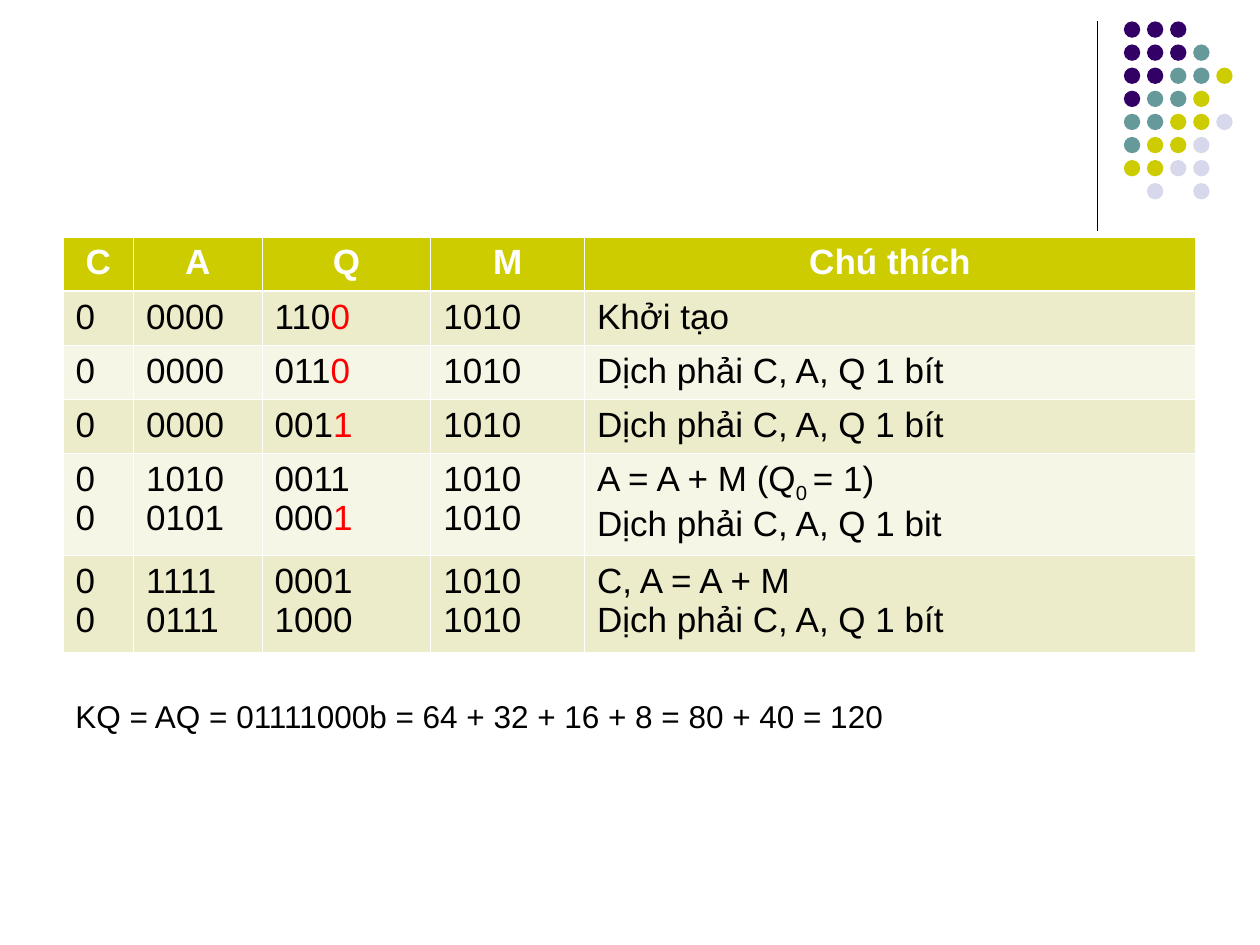
"""Build a slide tracing binary multiplication by shift and add."""
from dataclasses import dataclass

from lxml import etree
from pptx import Presentation, util as u
from pptx.dml.color import RGBColor
from pptx.enum import shapes, text
from pptx.oxml import ns


@dataclass(frozen=True)
class Theme:
    """Colours and type sizes of the slide."""
    font: str = "Arial"
    table_size: int = 20
    result_size: int = 18
    ink: str = "000000"
    paper: str = "FFFFFF"
    mark: str = "FF0000"
    purple: str = "330066"
    teal: str = "669999"
    olive: str = "CCCC00"
    pale: str = "D8D8EC"
    bands: tuple = ("ECECCB", "F6F6E7")
    thin: float = 0.45
    thick: float = 1.47


DOTS = ["PPP", "PPPT", "PPTTO", "PTTO", "TTOOL", "TOOL", "OOLL", " L L"]
COLUMNS = [0.56, 1.02, 1.34, 1.22, 4.85]
ROWS = [0.43, 0.43, 0.43, 0.43, 0.81, 0.77]
SHIFT = "Dịch phải C, A, Q 1 bít"
STEPS = [
    ["C", "A", "Q", "M", "Chú thích"],
    ["0", "0000", "110|!0", "1010", "Khởi tạo"],
    ["0", "0000", "011|!0", "1010", SHIFT],
    ["0", "0000", "001|!1", "1010", SHIFT],
    ["0\n0", "1010\n0101", "0011\n000|!1", "1010\n1010",
     "A = A + M (Q|_0 |= 1)\nDịch phải C, A, Q 1 bit"],
    ["0\n0", "1111\n0111", "0001\n1000", "1010\n1010", "C, A = A + M\n" + SHIFT],
]


class SlideBuilder:
    """Draw styled elements on the current slide."""

    def __init__(self, page, theme):
        """Keep the slide and its theme."""
        self.page = page
        self.theme = theme

    def line(self, x, top, bottom):
        """Draw a thin vertical rule."""
        rule = self.page.shapes.add_connector(
            shapes.MSO_CONNECTOR.STRAIGHT,
            u.Inches(x), u.Inches(top), u.Inches(x), u.Inches(bottom))
        rule.line.color.rgb = RGBColor.from_string(self.theme.ink)
        rule.line.width = u.Pt(0.75)
        etree.SubElement(rule._element.spPr, ns.qn("a:effectLst"))

    def dots(self, left, top, pitch, size, pattern):
        """Draw a grid of dots from rows of colour letters."""
        theme = self.theme
        colours = {"P": theme.purple, "T": theme.teal, "O": theme.olive, "L": theme.pale}
        for row, letters in enumerate(pattern):
            for column, letter in enumerate(letters):
                if letter not in colours:
                    continue
                dot = self.page.shapes.add_shape(
                    shapes.MSO_SHAPE.OVAL,
                    u.Inches(left + column * pitch), u.Inches(top + row * pitch),
                    u.Inches(size), u.Inches(size))
                dot.shadow.inherit = False
                dot.fill.solid()
                dot.fill.fore_color.rgb = RGBColor.from_string(colours[letter])
                dot.line.fill.background()

    def set_text(self, frame, content, size, colour, bold=False, align=None):
        """Set lines whose '|' pieces are marked '!' for red or '_' for subscript."""
        for index, line in enumerate(content.split("\n")):
            para = frame.add_paragraph() if index else frame.paragraphs[0]
            para.alignment = align
            para.font.name = self.theme.font
            para.font.size = u.Pt(size)
            para.font.bold = bold
            para.font.color.rgb = RGBColor.from_string(colour)
            for piece in line.split("|"):
                span = para.add_run()
                span.text = piece.lstrip("!_")
                if piece.startswith("!"):
                    span.font.color.rgb = RGBColor.from_string(self.theme.mark)
                elif piece.startswith("_"):
                    span._r.get_or_add_rPr().set("baseline", "-25000")

    def border(self, cell, side, width):
        """Add one solid border to a cell that has no fill yet."""
        edge = etree.SubElement(cell._tc.get_or_add_tcPr(), ns.qn(f"a:ln{side}"),
                                w=str(u.Pt(width)))
        fill = etree.SubElement(edge, ns.qn("a:solidFill"))
        etree.SubElement(fill, ns.qn("a:srgbClr"), val=self.theme.paper)

    def table(self, left, top, columns, rows, content):
        """Draw a banded table with a header row."""
        theme = self.theme
        grid = self.page.shapes.add_table(
            len(rows), len(columns), u.Inches(left), u.Inches(top),
            u.Inches(sum(columns)), u.Inches(sum(rows))).table
        grid.first_row = grid.horz_banding = False
        for column, width in zip(grid.columns, columns):
            column.width = u.Inches(width)
        for index, (row, height) in enumerate(zip(grid.rows, rows)):
            row.height = u.Inches(height)
            header = index == 0
            colour = theme.olive if header else theme.bands[(index - 1) % 2]
            widths = {"L": theme.thin, "R": theme.thin,
                      "T": theme.thick if index == 1 else theme.thin,
                      "B": theme.thick if header else theme.thin}
            for cell, value in zip(row.cells, content[index]):
                for side, width in widths.items():
                    self.border(cell, side, width)
                cell.fill.solid()
                cell.fill.fore_color.rgb = RGBColor.from_string(colour)
                self.set_text(cell.text_frame, value, theme.table_size,
                              theme.paper if header else theme.ink, header,
                              text.PP_ALIGN.CENTER if header else None)

    def text(self, left, top, width, height, content):
        """Add a wrapped text box."""
        box = self.page.shapes.add_textbox(
            u.Inches(left), u.Inches(top), u.Inches(width), u.Inches(height))
        box.text_frame.word_wrap = True
        box.text_frame.auto_size = text.MSO_AUTO_SIZE.SHAPE_TO_FIT_TEXT
        self.set_text(box.text_frame, content, self.theme.result_size, self.theme.ink)


def main():
    """Build and save the deck."""
    deck = Presentation()
    deck.slide_width, deck.slide_height = u.Inches(10), u.Inches(7.5)
    builder = SlideBuilder(deck.slides.add_slide(deck.slide_layouts[6]), Theme())
    builder.line(8.71, 0.17, 1.83)
    builder.dots(8.92, 0.17, 0.55 / 3, 0.13, DOTS)
    builder.table(0.5, 1.88, COLUMNS, ROWS, STEPS)
    builder.text(0.5, 5.48, 9, 0.4,
                 "KQ = AQ = 01111000b = 64 + 32 + 16 + 8 = 80 + 40 = 120")
    deck.save("out.pptx")


if __name__ == "__main__":
    main()
